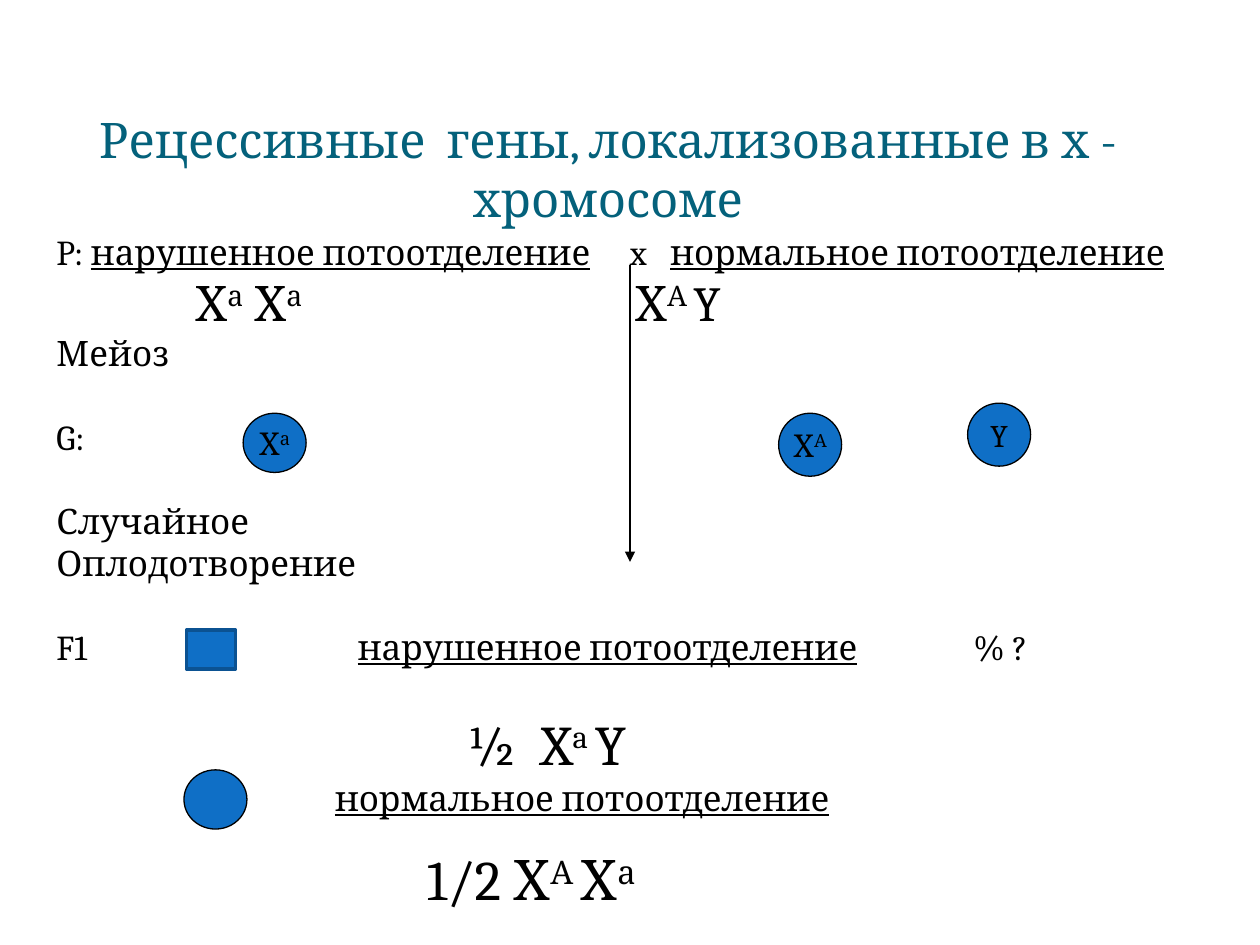
import dataclasses
import lxml.etree
import pptx
import pptx.dml.color
import pptx.enum.shapes
import pptx.enum.text
import pptx.oxml.ns
import pptx.util

Inches = pptx.util.Inches
Pt = pptx.util.Pt
RGB = pptx.dml.color.RGBColor.from_string
Kind = pptx.enum.shapes.MSO_SHAPE
Text = pptx.enum.text
qn = pptx.oxml.ns.qn


@dataclasses.dataclass(frozen=True)
class Theme:
    face: str = "Cambria"
    title: str = "04617B"
    ink: str = "000000"
    blue: str = "0F6FC6"
    edge: str = "0B5292"
    head: int = 28
    body: int = 20
    gene: int = 28
    child: int = 32
    label: int = 18
    gap: int = 24


THEME = Theme()

ROWS = [
    (THEME.body, 0, [4.55, 4.87],
     [("P: ", ""), ("нарушенное потоотделение\t", "u"), ("x\t", ""),
      ("нормальное потоотделение", "u")]),
    (THEME.gene, 0, [1.1, 4.59],
     [("\tХ", ""), ("а", "s"), (" Х", ""), ("а", "s"), ("\tХ", ""),
      ("А ", "s"), ("Y", "")]),
    (THEME.body, 0, [], [("Мейоз", "")]),
    (THEME.body, THEME.gap, [], [("G:", "")]),
    (THEME.body, THEME.gap, [], [("Случайное", "")]),
    (THEME.body, 0, [], [("Оплодотворение", "")]),
    (THEME.body, THEME.gap, [2.39, 7.28],
     [("F1\t", ""), ("нарушенное потоотделение", "u"), ("\t% ?", "")]),
    (THEME.child, THEME.gap, [3.26],
     [("\t½  X", ""), ("a ", "s"), ("Y", "")]),
    (THEME.body, 0, [2.21],
     [("\t", ""), ("нормальное потоотделение", "u")]),
    (THEME.child, 15, [2.94],
     [("\t1/2 Х", ""), ("А ", "s"), ("Х", ""), ("а", "s")]),
]

CELLS = [
    (1.93, 3.28, 0.47, [("Х", ""), ("а", "s")]),
    (6.18, 3.28, 0.5, [("Х", ""), ("А", "s")]),
    (7.68, 3.2, 0.5, [("Y", "")]),
]


def style(para, size, color=THEME.ink):
    para.font.name = THEME.face
    para.font.size = Pt(size)
    para.font.color.rgb = RGB(color)


def write(para, parts, size):
    style(para, size)
    for text, mark in parts:
        run = para.add_run()
        run.text = text
        if mark == "u":
            run.font.underline = True
        elif mark == "s":
            run.font._element.set("baseline", "30000")


def set_tabs(para, stops):
    props = para._p.get_or_add_pPr()
    tabs = lxml.etree.Element(qn("a:tabLst"))
    for stop in stops:
        lxml.etree.SubElement(tabs, qn("a:tab"), pos=str(Inches(stop)), algn="l")
    props.find(qn("a:defRPr")).addprevious(tabs)


def add_title(slide, text):
    title = slide.shapes.title
    title.left, title.top = Inches(0), Inches(0.36)
    title.width, title.height = Inches(9.65), Inches(1.04)
    frame = title.text_frame
    frame.text = text
    frame.word_wrap = True
    frame.auto_size = Text.MSO_AUTO_SIZE.SHAPE_TO_FIT_TEXT
    frame.vertical_anchor = Text.MSO_ANCHOR.TOP
    frame.margin_top = Inches(0.51)
    para = frame.paragraphs[0]
    para.alignment = Text.PP_ALIGN.CENTER
    style(para, THEME.head, THEME.title)


def add_body(slide):
    box = slide.shapes.add_textbox(
        Inches(0.35), Inches(1.78), Inches(9.37), Inches(5.57))
    frame = box.text_frame
    frame.word_wrap = True
    for index, (size, space, stops, parts) in enumerate(ROWS):
        para = frame.add_paragraph() if index else frame.paragraphs[0]
        write(para, parts, size)
        para.space_before = Pt(space)
        if stops:
            set_tabs(para, stops)


def add_arrow(slide):
    arrow = slide.shapes.add_connector(
        pptx.enum.shapes.MSO_CONNECTOR.STRAIGHT,
        Inches(5), Inches(2.1), Inches(5), Inches(4.46))
    arrow.line.color.rgb = RGB(THEME.ink)
    arrow.line.width = Pt(0.75)
    lxml.etree.SubElement(
        arrow.line._get_or_add_ln(), qn("a:tailEnd"), type="triangle")
    lxml.etree.SubElement(arrow._element.spPr, qn("a:effectLst"))


def add_form(slide, kind, left, top, width, height, edge, weight):
    form = slide.shapes.add_shape(
        kind, Inches(left), Inches(top), Inches(width), Inches(height))
    form.shadow.inherit = False
    form.fill.solid()
    form.fill.fore_color.rgb = RGB(THEME.blue)
    form.line.color.rgb = RGB(edge)
    form.line.width = Pt(weight)
    return form


def add_cell(slide, left, top, height, parts=()):
    cell = add_form(slide, Kind.FLOWCHART_CONNECTOR, left, top, 0.5, height,
                    THEME.ink, 0.75)
    if parts:
        frame = cell.text_frame
        frame.word_wrap = False
        frame.vertical_anchor = Text.MSO_ANCHOR.MIDDLE
        para = frame.paragraphs[0]
        para.alignment = Text.PP_ALIGN.CENTER
        write(para, parts, THEME.label)
    return cell


def main():
    deck = pptx.Presentation()
    deck.slide_width, deck.slide_height = Inches(10), Inches(7.5)
    slide = deck.slides.add_slide(deck.slide_layouts[5])
    add_title(slide, "Рецессивные  гены, локализованные в х - хромосоме")
    add_body(slide)
    add_arrow(slide)
    for cell in CELLS:
        add_cell(slide, *cell)
    add_cell(slide, 1.46, 6.11, 0.47).rotation = 180
    add_form(slide, Kind.RECTANGLE, 1.48, 5, 0.39, 0.31, THEME.edge, 2)
    deck.save("out.pptx")


main()
